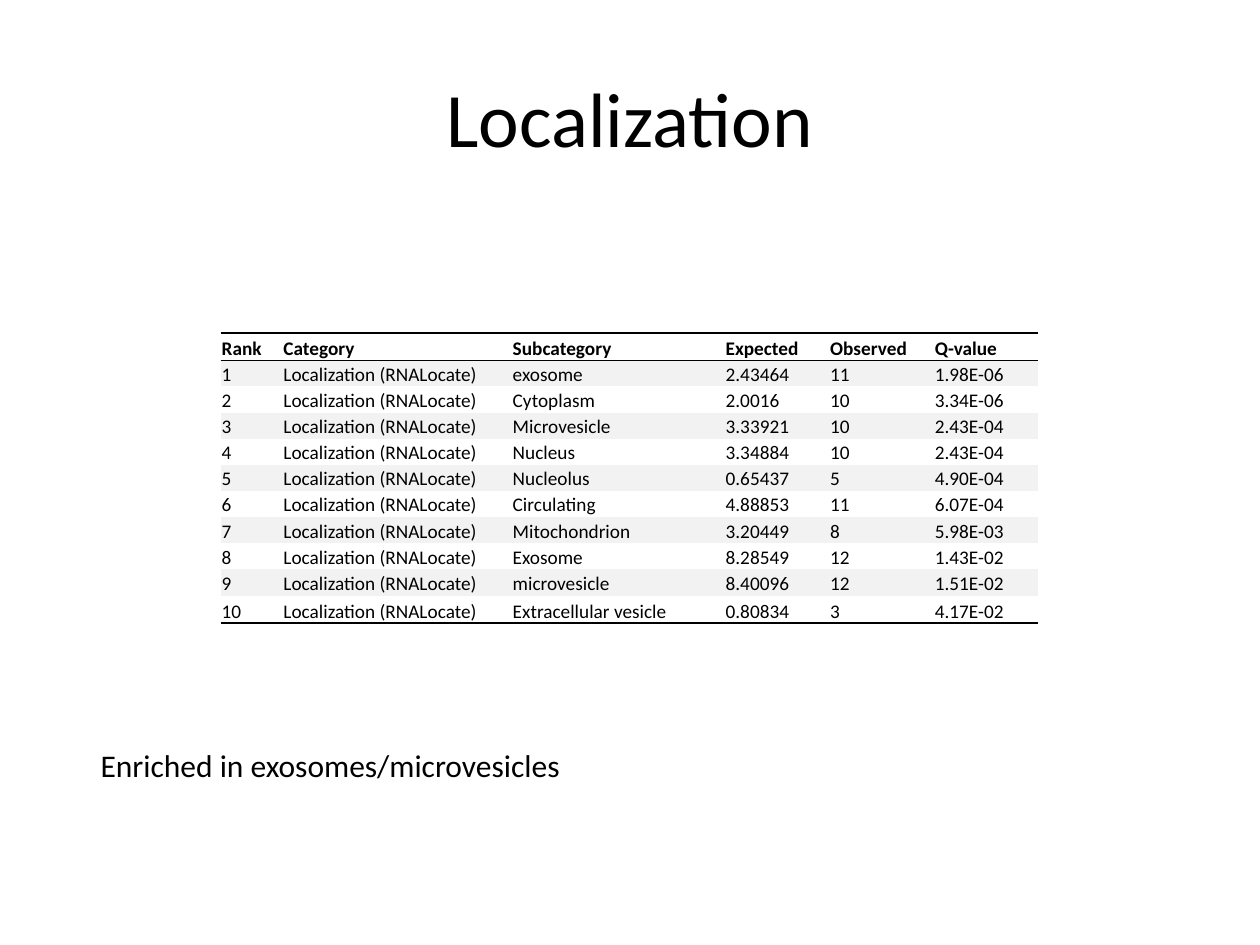
from dataclasses import dataclass

from lxml import etree
from pptx import Presentation
from pptx.dml.color import RGBColor
from pptx.enum.text import MSO_ANCHOR, MSO_AUTO_SIZE, PP_ALIGN
from pptx.oxml.ns import qn
from pptx.util import Inches, Pt

TOP, MIDDLE, BOTTOM = MSO_ANCHOR.TOP, MSO_ANCHOR.MIDDLE, MSO_ANCHOR.BOTTOM
LEFT, CENTER = PP_ALIGN.LEFT, PP_ALIGN.CENTER
FIT_SHAPE = MSO_AUTO_SIZE.SHAPE_TO_FIT_TEXT

SLIDE_W, SLIDE_H = 10, 7.5
FONT = "Calibri"
BLACK, WHITE, BAND = "000000", "FFFFFF", "F2F2F2"
THICK, THIN = 1.5, 0.5

# Table grid in inches
TABLE_X, TABLE_Y, TABLE_H = 1.75, 2.64, 2.31
COLUMN_WIDTHS = (0.49, 1.82, 1.69, 0.83, 0.83, 0.83)
EDGE_ROW_H = 0.22

HEADER = ("Rank", "Category", "Subcategory", "Expected", "Observed", "Q-value")
CATEGORY = "Localization (RNALocate)"


@dataclass
class TextBlock:
    """A text box placed by shares of the slide's size."""
    text: str
    x: float
    y: float
    w: float
    h: float
    size: float
    align: PP_ALIGN = LEFT
    anchor: MSO_ANCHOR = TOP
    grow: bool = False


@dataclass
class Enrichment:
    subcategory: str
    expected: str
    observed: str
    q_value: str


TEXTS = (
    TextBlock("Localization", 0.05, 0.04, 0.9, 1.25 / SLIDE_H, 44, CENTER, MIDDLE),
    TextBlock("Enriched in exosomes/microvesicles", 0.07, 5.87 / SLIDE_H,
              0.672, 0.4 / SLIDE_H, 18, grow=True),
)

ENRICHMENTS = (
    Enrichment("exosome", "2.43464", "11", "1.98E-06"),
    Enrichment("Cytoplasm", "2.0016", "10", "3.34E-06"),
    Enrichment("Microvesicle", "3.33921", "10", "2.43E-04"),
    Enrichment("Nucleus", "3.34884", "10", "2.43E-04"),
    Enrichment("Nucleolus", "0.65437", "5", "4.90E-04"),
    Enrichment("Circulating", "4.88853", "11", "6.07E-04"),
    Enrichment("Mitochondrion", "3.20449", "8", "5.98E-03"),
    Enrichment("Exosome", "8.28549", "12", "1.43E-02"),
    Enrichment("microvesicle", "8.40096", "12", "1.51E-02"),
    Enrichment("Extracellular vesicle", "0.80834", "3", "4.17E-02"),
)


def color(value: str) -> RGBColor:
    return RGBColor.from_string(value)


def add_run(p, text: str, size: float, bold: bool = False) -> None:
    r = p.add_run()
    r.text = text
    r.font.name = FONT
    r.font.size = Pt(size)
    r.font.bold = bold
    r.font.color.rgb = color(BLACK)


def add_text(s, block: TextBlock) -> None:
    sp = s.shapes.add_textbox(Inches(block.x * SLIDE_W), Inches(block.y * SLIDE_H),
                              Inches(block.w * SLIDE_W), Inches(block.h * SLIDE_H))
    tf = sp.text_frame
    tf.word_wrap = True
    tf.vertical_anchor = block.anchor
    if block.grow:
        tf.auto_size = FIT_SHAPE
    p = tf.paragraphs[0]
    p.alignment = block.align
    add_run(p, block.text, block.size)


def set_borders(cell, top: float, bottom: float) -> None:
    """Rule the top and bottom edges; a width of 0 means no line."""
    tc_pr = cell._tc.get_or_add_tcPr()
    for tag, width in (("lnL", 0), ("lnR", 0), ("lnT", top), ("lnB", bottom)):
        ln = etree.SubElement(tc_pr, qn(f"a:{tag}"), w=str(Pt(width)))
        if width:
            fill = etree.SubElement(ln, qn("a:solidFill"))
            etree.SubElement(fill, qn("a:srgbClr"), val=BLACK)
        else:
            etree.SubElement(ln, qn("a:noFill"))


def fill_cell(cell, text: str, row: int, last: int) -> None:
    # Borders come before the fill in the cell's XML
    set_borders(cell, top={0: THICK, 1: THIN}.get(row, 0),
                bottom={0: THIN, last: THICK}.get(row, 0))
    cell.fill.solid()
    cell.fill.fore_color.rgb = color(BAND if row % 2 else WHITE)
    cell.margin_left = cell.margin_right = cell.margin_top = Inches(0.01)
    cell.margin_bottom = 0
    cell.vertical_anchor = BOTTOM
    add_run(cell.text_frame.paragraphs[0], text, 11, bold=row == 0)


def add_enrichment_table(s) -> None:
    rows = [HEADER] + [(str(rank), CATEGORY, e.subcategory, e.expected, e.observed, e.q_value)
                       for rank, e in enumerate(ENRICHMENTS, 1)]
    last = len(rows) - 1
    inner_h = (TABLE_H - 2 * EDGE_ROW_H) / (len(rows) - 2)
    table = s.shapes.add_table(len(rows), len(HEADER), Inches(TABLE_X), Inches(TABLE_Y),
                               Inches(sum(COLUMN_WIDTHS)), Inches(TABLE_H)).table
    table.first_row = table.horz_banding = False
    for column, width in zip(table.columns, COLUMN_WIDTHS):
        column.width = Inches(width)
    for i, values in enumerate(rows):
        table.rows[i].height = Inches(EDGE_ROW_H if i in (0, last) else inner_h)
        for j, text in enumerate(values):
            fill_cell(table.cell(i, j), text, i, last)


def main() -> None:
    prs = Presentation()
    prs.slide_width, prs.slide_height = Inches(SLIDE_W), Inches(SLIDE_H)
    s = prs.slides.add_slide(prs.slide_layouts[6])

    # Title and conclusion
    for block in TEXTS:
        add_text(s, block)

    # Ranked localization results
    add_enrichment_table(s)

    prs.save("out.pptx")


if __name__ == "__main__":
    main()
